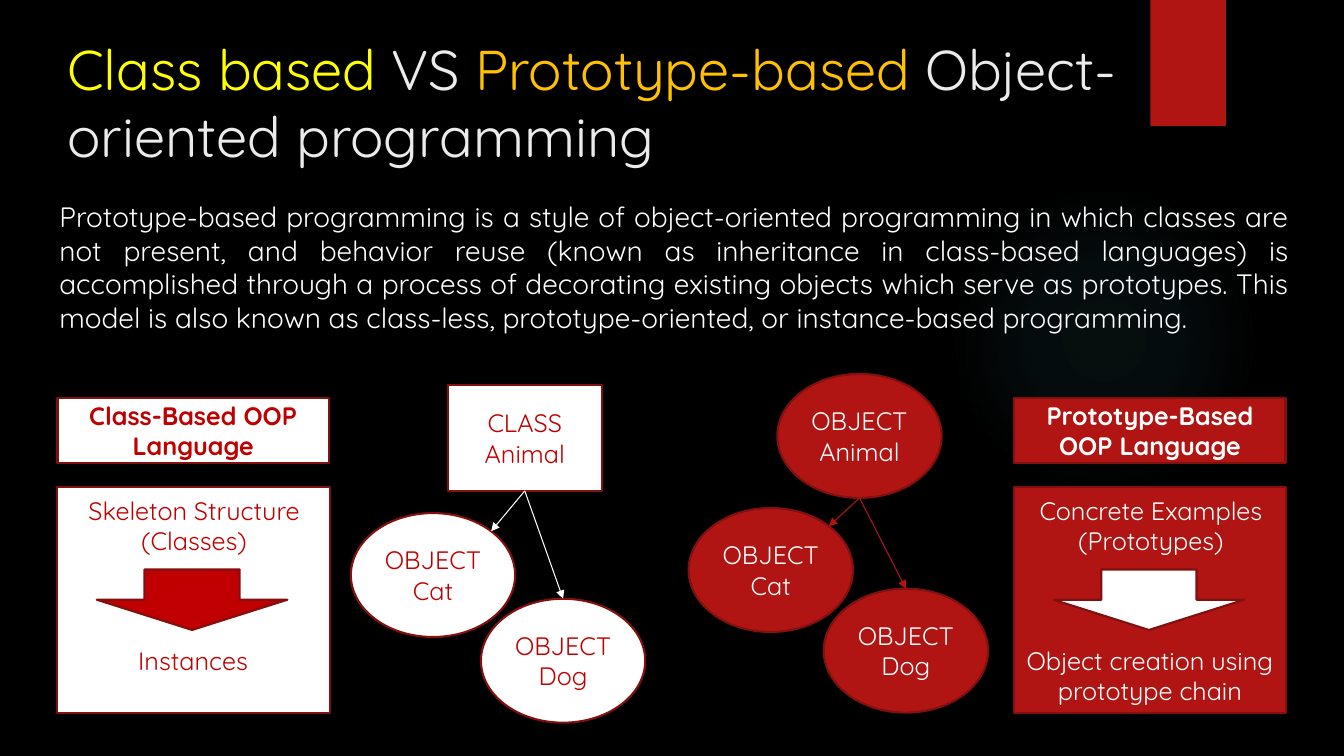
import math
from dataclasses import dataclass

import lxml.etree
import pptx
import pptx.dml.color
import pptx.enum.shapes
import pptx.enum.text
import pptx.oxml
import pptx.oxml.ns
import pptx.util

Inches = pptx.util.Inches
Pt = pptx.util.Pt
SHAPE = pptx.enum.shapes.MSO_SHAPE
ALIGN = pptx.enum.text.PP_ALIGN
ANCHOR = pptx.enum.text.MSO_ANCHOR

FONT = "Quicksand"
COLOURS = {
    "black": "000000", "white": "FFFFFF", "pale": "EBEBEB", "yellow": "FFFF00",
    "amber": "FFC000", "crimson": "C00000", "brick": "B01513",
    "maroon": "82100E", "teal": "50B9C1",
}
DRAWING = "http://schemas.openxmlformats.org/drawingml/2006/main"
OVAL_WIDTH, OVAL_HEIGHT = 1.63, 1.23


@dataclass(frozen=True)
class Area:
    left: float
    top: float
    width: float
    height: float

    def lengths(self) -> list:
        return [Inches(value) for value in (self.left, self.top, self.width, self.height)]


@dataclass(frozen=True)
class Span:
    text: str
    colour: str
    size: int = 18
    bold: bool = False


@dataclass(frozen=True)
class Node:
    kind: int
    area: Area
    lines: tuple


@dataclass(frozen=True)
class Side:
    left: float
    fill: str
    ink: str
    arrow: str
    link: str
    heading: str
    source: str
    result: str
    parent: Node
    cat: Node
    dog: Node


def colour(name: str) -> pptx.dml.color.RGBColor:
    return pptx.dml.color.RGBColor.from_string(COLOURS[name])


def assign(target, values: dict) -> None:
    for name, value in values.items():
        setattr(target, name, value)


def write(shape, paragraphs: list, align=ALIGN.CENTER, anchor=ANCHOR.TOP) -> None:
    frame = shape.text_frame
    assign(frame, {"word_wrap": True, "vertical_anchor": anchor})
    for index, spans in enumerate(paragraphs):
        para = frame.add_paragraph() if index else frame.paragraphs[0]
        para.alignment = align
        for item in spans:
            span = para.add_run()
            span.text = item.text
            assign(span.font, {"name": FONT, "size": Pt(item.size), "bold": item.bold})
            span.font.color.rgb = colour(item.colour)


def add_text(page, area: Area, spans: list, align=ALIGN.CENTER) -> None:
    write(page.shapes.add_textbox(*area.lengths()), [spans], align)


def add_figure(page, kind: int, area: Area, fill: str, line: str = "maroon"):
    shape = page.shapes.add_shape(kind, *area.lengths())
    shape.shadow.inherit = False
    shape.fill.solid()
    shape.fill.fore_color.rgb = colour(fill)
    if line:
        shape.line.color.rgb = colour(line)
        shape.line.width = Pt(1.5)
    else:
        shape.line.fill.background()
    return shape


def add_glow(page, area: Area) -> None:
    glow = add_figure(page, SHAPE.OVAL, area, "teal", "")
    stops = "".join(
        f'<a:gs pos="{place * 1000}"><a:srgbClr val="{COLOURS["teal"]}">'
        f'<a:alpha val="{alpha * 1000}"/></a:srgbClr></a:gs>'
        for place, alpha in ((0, 7), (36, 6), (69, 0))
    )
    gradient = pptx.oxml.parse_xml(
        f'<a:gradFill xmlns:a="{DRAWING}"><a:gsLst>{stops}</a:gsLst><a:path path="circle">'
        '<a:fillToRect l="50000" t="50000" r="50000" b="50000"/></a:path></a:gradFill>'
    )
    properties = glow._element.spPr
    properties.replace(properties.find(pptx.oxml.ns.qn("a:solidFill")), gradient)


def add_arrow(page, start: tuple, end: tuple, line: str) -> None:
    ends = [Inches(value) for value in (*start, *end)]
    arrow = page.shapes.add_connector(pptx.enum.shapes.MSO_CONNECTOR.STRAIGHT, *ends)
    arrow.line.color.rgb = colour(line)
    arrow.line.width = Pt(0.75)
    tail = lxml.etree.SubElement(arrow.line._get_or_add_ln(), pptx.oxml.ns.qn("a:tailEnd"))
    tail.set("type", "triangle")
    lxml.etree.SubElement(arrow._element.spPr, pptx.oxml.ns.qn("a:effectLst"))


def add_panel(page, side: Side) -> None:
    heading = add_figure(page, SHAPE.RECTANGLE, Area(side.left, 3.95, 2.69, 0.64), side.fill)
    write(heading, [[Span(side.heading, side.ink, bold=True)]], anchor=ANCHOR.MIDDLE)
    add_figure(page, SHAPE.RECTANGLE, Area(side.left, 4.83, 2.7, 2.24), side.fill)
    add_text(page, Area(side.left + 0.02, 4.86, 2.67, 0.71), [Span(side.source, side.ink)])
    add_text(page, Area(side.left - 0.08, 6.35, 2.85, 0.71), [Span(side.result, side.ink)])
    add_figure(page, SHAPE.DOWN_ARROW, Area(side.left + 0.39, 5.65, 1.89, 0.6), side.arrow)


def add_family(page, side: Side) -> None:
    for node in (side.parent, side.cat, side.dog):
        shape = add_figure(page, node.kind, node.area, side.fill)
        lines = [[Span(line, side.ink)] for line in node.lines]
        write(shape, lines, anchor=ANCHOR.MIDDLE)
    parent, cat, dog = side.parent.area, side.cat.area, side.dog.area
    start = (parent.left + parent.width / 2, parent.top + parent.height)
    reach = math.sqrt(0.5)
    cat_edge = (cat.left + cat.width / 2 * (1 + reach), cat.top + cat.height / 2 * (1 - reach))
    dog_edge = (dog.left + dog.width / 2, dog.top)
    for end in (cat_edge, dog_edge):
        add_arrow(page, start, end, side.link)


def oval(left: float, top: float, name: str) -> Node:
    return Node(SHAPE.OVAL, Area(left, top, OVAL_WIDTH, OVAL_HEIGHT), ("OBJECT", name))


SIDES = [
    Side(10.06, "brick", "white", "white", "brick", "Prototype-Based OOP Language",
         "Concrete Examples (Prototypes)", "Object creation using prototype chain",
         oval(7.71, 3.71, "Animal"), oval(6.83, 5.04, "Cat"), oval(8.17, 5.84, "Dog")),
    Side(0.57, "white", "crimson", "crimson", "white", "Class-Based OOP Language",
         "Skeleton Structure (Classes)", "Instances",
         Node(SHAPE.RECTANGLE, Area(4.44, 3.82, 1.53, 1.05), ("CLASS", "Animal")),
         oval(3.48, 5.09, "Cat"), oval(4.77, 5.94, "Dog")),
]
TITLE = [
    Span("Class based", "yellow", 40),
    Span(" VS ", "pale", 40),
    Span("Prototype-based ", "amber", 40),
    Span("Object-oriented programming", "pale", 40),
]
SUMMARY = (
    "Prototype-based programming is a style of object-oriented programming in which "
    "classes are not present, and behavior reuse (known as inheritance in class-based "
    "languages) is accomplished through a process of decorating existing objects which "
    "serve as prototypes. This model is also known as class-less, prototype-oriented, "
    "or instance-based programming."
)

deck = pptx.Presentation()
assign(deck, {"slide_width": Inches(13.33), "slide_height": Inches(7.5)})
page = deck.slides.add_slide(deck.slide_layouts[6])
page.background.fill.solid()
page.background.fill.fore_color.rgb = colour("black")

add_glow(page, Area(9.41, 1.83, 3.08, 3.08))
add_figure(page, SHAPE.RECTANGLE, Area(11.41, 0, 0.75, 1.25), "brick", "")
add_text(page, Area(0.57, 0.29, 10.76, 1.58), TITLE, ALIGN.LEFT)
add_text(page, Area(0.49, 1.93, 12.39, 1.45), [Span(SUMMARY, "white", 20)], ALIGN.JUSTIFY)
for side in SIDES:
    add_panel(page, side)
    add_family(page, side)

deck.save("out.pptx")
